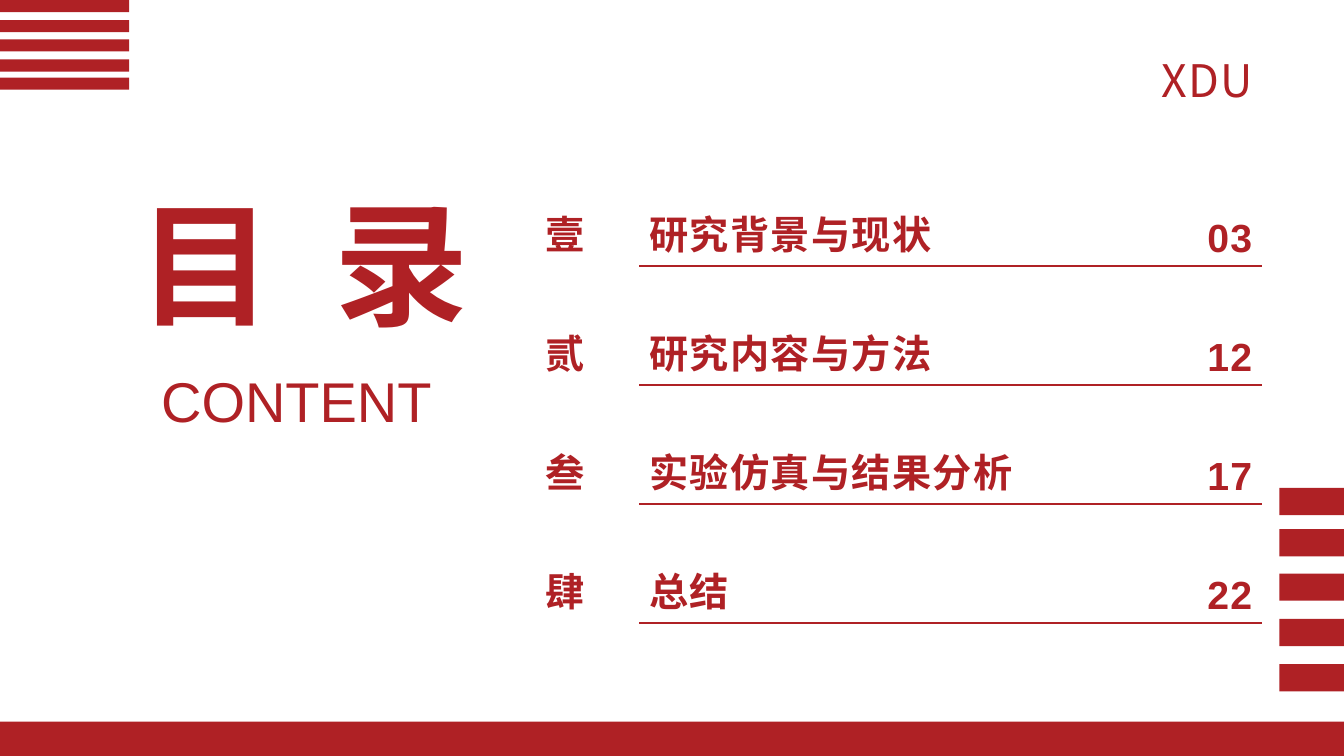
import dataclasses

import pptx
import pptx.dml.color
import pptx.enum.shapes
import pptx.enum.text
import pptx.oxml
import pptx.oxml.ns
import pptx.util

Inches = pptx.util.Inches
Align = pptx.enum.text.PP_ALIGN
Anchor = pptx.enum.text.MSO_ANCHOR
qn = pptx.oxml.ns.qn

RED = "AF2125"
CJK_FONT = "Noto Sans CJK SC"
LINE_WIDTH = 1.5


@dataclasses.dataclass
class Bar:
    left: float
    top: float
    width: float
    height: float


@dataclasses.dataclass
class Style:
    size: float
    font: str = "Arial"
    bold: bool = False
    align: Align = Align.LEFT
    line_spacing: float = 1.0
    tracking: float = 0


@dataclasses.dataclass
class Label:
    words: tuple[str, ...]
    left: float
    top: float
    width: float
    height: float
    style: Style
    wrap: bool = False
    gap: float = 0


@dataclasses.dataclass
class Chapter:
    numeral: str
    title: str
    number: str


BARS = [
    Bar(0, 7.16, 13.33, 0.34),
    *(Bar(0, top, 1.28, 0.12) for top in (0, 0.2, 0.39, 0.59, 0.77)),
    *(Bar(12.69, top, 0.64, 0.27) for top in (4.84, 5.25, 5.69, 6.14, 6.59)),
]

LABELS = [
    Label(("XDU",), 11.42, 0.31, 1.21, 0.74,
          Style(32, CJK_FONT, align=Align.JUSTIFY, line_spacing=1.3, tracking=1)),
    Label(("目", "录"), 1.28, 1.75, 3.69, 1.72, Style(96, bold=True), gap=21.5),
    Label(("CONTENT",), 1.5, 3.59, 3.35, 0.77, Style(40, align=Align.JUSTIFY), wrap=True),
]

CHAPTERS = [
    Chapter("壹", "研究背景与现状", "03"),
    Chapter("贰", "研究内容与方法", "12"),
    Chapter("叁", "实验仿真与结果分析", "17"),
    Chapter("肆", "总结", "22"),
]
COLUMN_WIDTHS = (1.03, 4.86, 1.32)
ROW_HEIGHT = 1.18
COLUMN_STYLES = (
    Style(28, bold=True, tracking=1),
    Style(28, bold=True, align=Align.JUSTIFY, line_spacing=1.3, tracking=1),
    Style(28, bold=True, align=Align.RIGHT, tracking=1),
)


def color(value: str) -> pptx.dml.color.RGBColor:
    return pptx.dml.color.RGBColor.from_string(value)


def style_paragraph(para, style: Style) -> None:
    para.alignment = style.align
    para.line_spacing = style.line_spacing
    para.font.size = pptx.util.Pt(style.size)
    para.font.bold = style.bold
    para.font.color.rgb = color(RED)
    para.font.name = style.font
    # East Asian typeface and letter spacing
    defaults = para._p.pPr.find(qn("a:defRPr"))
    defaults.set("spc", str(round(style.tracking * 100)))
    defaults.makeelement(qn("a:ea"))
    east_asian = pptx.oxml.parse_xml(
        f'<a:ea {pptx.oxml.ns.nsdecls("a")} typeface="{CJK_FONT}"/>')
    defaults.append(east_asian)


def draw_bar(page, bar: Bar) -> None:
    shape = page.shapes.add_shape(
        pptx.enum.shapes.MSO_SHAPE.RECTANGLE,
        Inches(bar.left), Inches(bar.top), Inches(bar.width), Inches(bar.height))
    shape.shadow.inherit = False
    shape.fill.solid()
    shape.fill.fore_color.rgb = color(RED)
    shape.line.fill.background()


def draw_label(page, label: Label) -> None:
    box = page.shapes.add_textbox(
        Inches(label.left), Inches(label.top), Inches(label.width), Inches(label.height))
    frame = box.text_frame
    frame.word_wrap = label.wrap
    frame.auto_size = pptx.enum.text.MSO_AUTO_SIZE.SHAPE_TO_FIT_TEXT
    para = frame.paragraphs[0]
    for index, word in enumerate(label.words):
        if index:
            space = para.add_run()
            space.text = " "
            space._r.get_or_add_rPr().set("spc", str(round(label.gap * 100)))
        para.add_run().text = word
    style_paragraph(para, label.style)


def set_border(cell, side: str, visible: bool) -> None:
    paint = f'<a:solidFill><a:srgbClr val="{RED}"/></a:solidFill>' if visible else "<a:noFill/>"
    width = pptx.util.Pt(LINE_WIDTH) if visible else 0
    cell._tc.get_or_add_tcPr().append(pptx.oxml.parse_xml(
        f'<a:ln{side} {pptx.oxml.ns.nsdecls("a")} w="{width}">{paint}</a:ln{side}>'))


def draw_contents(page, left: float, top: float) -> None:
    table = page.shapes.add_table(
        len(CHAPTERS), len(COLUMN_WIDTHS), Inches(left), Inches(top),
        Inches(sum(COLUMN_WIDTHS)), Inches(ROW_HEIGHT * len(CHAPTERS))).table
    table.first_row = False
    table.horz_banding = False
    for column, width in zip(table.columns, COLUMN_WIDTHS):
        column.width = Inches(width)
    for row_index, chapter in enumerate(CHAPTERS):
        table.rows[row_index].height = Inches(ROW_HEIGHT)
        for column_index, text in enumerate(dataclasses.astuple(chapter)):
            cell = table.cell(row_index, column_index)
            cell.text = text
            cell.vertical_anchor = Anchor.BOTTOM
            style_paragraph(cell.text_frame.paragraphs[0], COLUMN_STYLES[column_index])
            # Rules run under the title and page number only
            ruled = column_index > 0
            set_border(cell, "L", False)
            set_border(cell, "R", False)
            set_border(cell, "T", ruled and row_index > 0)
            set_border(cell, "B", ruled)
            cell.fill.background()


def main() -> None:
    deck = pptx.Presentation()
    deck.slide_width = Inches(13.33)
    deck.slide_height = Inches(7.5)
    page = deck.slides.add_slide(deck.slide_layouts[6])
    # Footer band and corner stripes
    for bar in BARS:
        draw_bar(page, bar)
    # Headings
    for label in LABELS:
        draw_label(page, label)
    # Table of contents
    draw_contents(page, 5.31, 1.46)
    deck.save("out.pptx")


if __name__ == "__main__":
    main()
